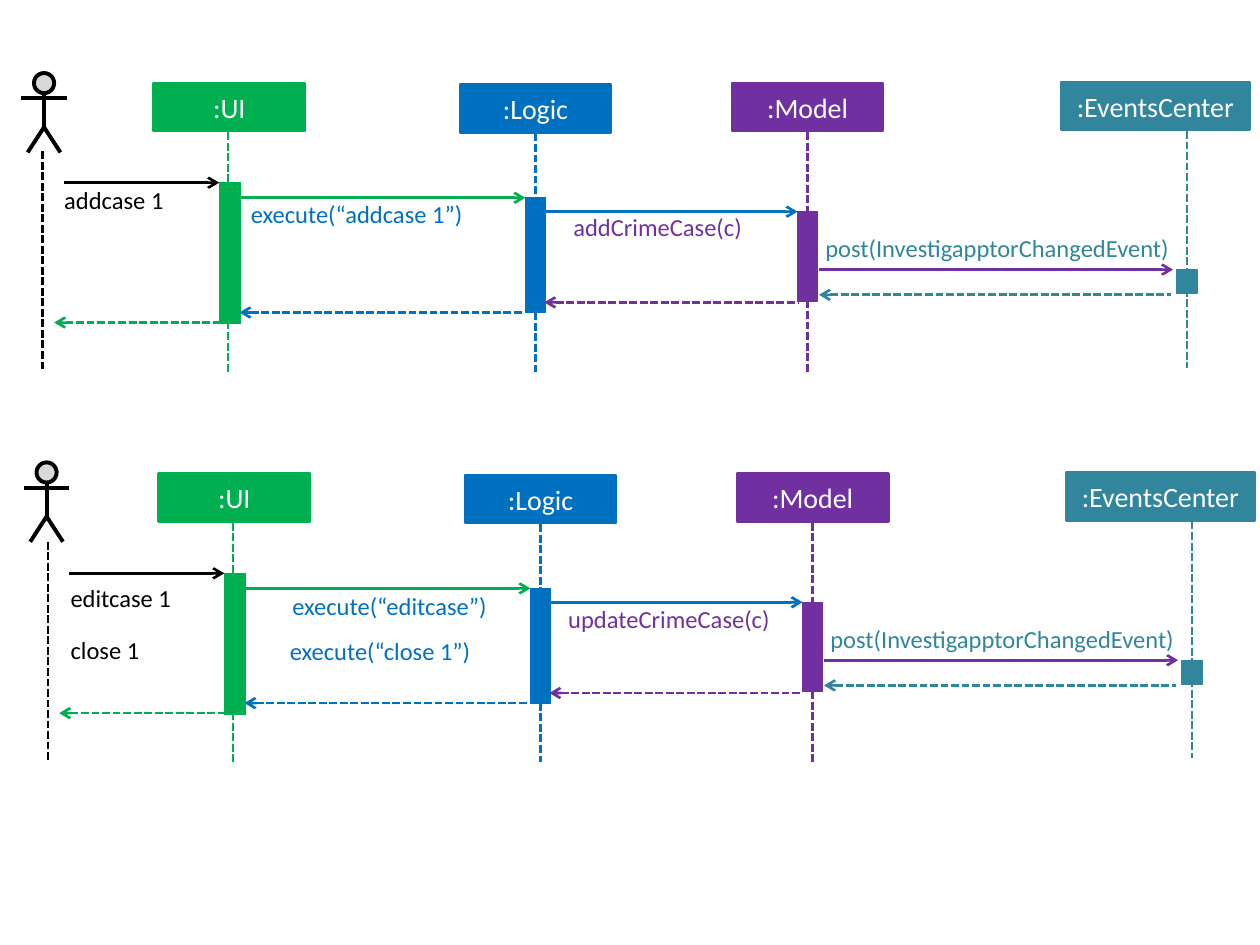
from lxml import etree
from pptx import Presentation
from pptx.dml.color import RGBColor
from pptx.enum import dml, shapes, text
from pptx.oxml import ns
from pptx.util import Inches, Pt

BLACK, GREEN, BLUE, PURPLE, TEAL = "000000", "00B050", "0070C0", "7030A0", "31859C"

deck = Presentation()
deck.slide_width, deck.slide_height = Inches(10), Inches(7.5)
page = deck.slides.add_slide(deck.slide_layouts[6])


def add_line(x1, y1, x2, y2, color, weight=1.5, dashed=False, arrow=None):
    line = page.shapes.add_connector(
        shapes.MSO_CONNECTOR.STRAIGHT, *map(Inches, (x1, y1, x2, y2)))
    line.line.color.rgb = RGBColor.from_string(color)
    line.line.width = Pt(weight)
    if dashed:
        line.line.dash_style = dml.MSO_LINE.SQUARE_DOT
    if arrow:
        etree.SubElement(line.line._get_or_add_ln(), ns.qn("a:" + arrow), type="arrow")
    etree.SubElement(line._element.spPr, ns.qn("a:effectLst"))


def add_box(kind, x, y, width, height, fill, outline, weight, label=None, size=16, color="FFFFFF"):
    if kind is None:
        box = page.shapes.add_textbox(*map(Inches, (x, y, width, height)))
    else:
        box = page.shapes.add_shape(kind, *map(Inches, (x, y, width, height)))
        box.shadow.inherit = False
        box.fill.solid()
        box.fill.fore_color.rgb = RGBColor.from_string(fill)
        box.line.color.rgb = RGBColor.from_string(outline)
        box.line.width = Pt(weight)
    if label:
        frame = box.text_frame
        settings = {"word_wrap": True, "vertical_anchor": text.MSO_ANCHOR.MIDDLE}
        if kind is None:
            settings = {"word_wrap": True, "vertical_anchor": text.MSO_ANCHOR.TOP,
                        "margin_left": 0, "margin_right": 0, "margin_top": 0,
                        "margin_bottom": 0, "auto_size": text.MSO_AUTO_SIZE.SHAPE_TO_FIT_TEXT}
        for name, value in settings.items():
            setattr(frame, name, value)
        para = frame.paragraphs[0]
        para.alignment = text.PP_ALIGN.LEFT if kind is None else text.PP_ALIGN.CENTER
        span = para.add_run()
        span.text = label
        for name, value in {"size": Pt(size), "name": "Calibri"}.items():
            setattr(span.font, name, value)
        span.font.color.rgb = RGBColor.from_string(color)


RECT = shapes.MSO_SHAPE.RECTANGLE
participants = [
    (":UI", GREEN, 1.22, 0.66, 1.2, 1.81, 2.95, 1.74, 1.45, 0.17, 1.12),
    (":Logic", BLUE, 3.65, 0.67, 1.2, 4.25, 2.95, 4.17, 1.57, 0.16, 0.91),
    (":Model", PURPLE, 5.81, 0.66, 1.2, 6.41, 2.95, 6.33, 1.68, 0.16, 0.71),
    (":EventsCenter", TEAL, 8.42, 0.65, 1.5, 9.42, 2.92, 9.34, 2.14, 0.16, 0.19),
]
calls = [
    (0.51, 1.74, 1.45, BLACK),
    (1.9, 4.17, 1.57, GREEN),
    (4.32, 6.33, 1.68, BLUE),
    (6.5, 9.31, 2.14, PURPLE),
]
returns = [
    (0.43, 1.74, 2.56, GREEN),
    (1.9, 4.15, 2.48, BLUE),
    (4.32, 6.33, 2.4, PURPLE),
    (6.5, 9.29, 2.34, TEAL),
]
add_labels = [
    ("addcase 1", 0.51, 1.47, 1.21, BLACK),
    ("execute(“addcase 1”)", 1.99, 1.58, 2.08, BLUE),
    ("addCrimeCase(c)", 4.55, 1.68, 1.68, PURPLE),
    ("post(InvestigapptorChangedEvent)", 6.55, 1.85, 2.78, TEAL),
]
edit_labels = [
    ("editcase 1", 0.56, 4.63, 1.39, BLACK),
    ("close 1", 0.56, 5.04, 0.95, BLACK),
    ("execute(“editcase”)", 2.32, 4.69, 1.55, BLUE),
    ("execute(“close 1”)", 2.3, 5.05, 1.55, BLUE),
    ("updateCrimeCase(c)", 4.51, 4.79, 1.68, PURPLE),
    ("post(InvestigapptorChangedEvent)", 6.59, 4.95, 2.78, TEAL),
]

for dx, dy, actor_x, actor_y, labels in [
    (0, 0, 0.35, 0.58, add_labels),
    (0.04, 3.1, 0.37, 3.67, edit_labels),
]:
    for name, color, x, y, width, life_x, life_end, bar_x, bar_y, bar_width, bar_height in participants:
        add_box(RECT, x + dx, y + dy, width, 0.38, color, color, 1.5, name)
        add_line(life_x + dx, y + dy + 0.39, life_x + dx, life_end + dy, color, dashed=True)
        add_box(RECT, bar_x + dx, bar_y + dy, bar_width, bar_height, color, color, 0.75)

    add_line(0.34 + dx, 1.2 + dy, 0.34 + dx, 2.95 + dy, BLACK, dashed=True)
    add_box(shapes.MSO_SHAPE.FLOWCHART_CONNECTOR, actor_x - 0.08, actor_y, 0.16, 0.16,
            "D9D9D9", BLACK, 2.25)
    add_line(actor_x, actor_y + 0.16, actor_x, actor_y + 0.43, BLACK, 2.25)
    add_line(actor_x - 0.18, actor_y + 0.2, actor_x + 0.18, actor_y + 0.2, BLACK, 2.25)
    outline = page.shapes.build_freeform(
        Inches(actor_x - 0.13), Inches(actor_y + 0.63), scale=1.0)
    outline.add_line_segments(
        [(Inches(actor_x), Inches(actor_y + 0.43)),
         (Inches(actor_x + 0.13), Inches(actor_y + 0.63))], close=False)
    legs = outline.convert_to_shape()
    legs.shadow.inherit = False
    legs.fill.background()
    legs.line.color.rgb = RGBColor.from_string(BLACK)
    legs.line.width = Pt(2.25)

    for messages, dashed, arrow in [(calls, False, "tailEnd"), (returns, True, "headEnd")]:
        for left, right, y, color in messages:
            add_line(left + dx, y + dy, right + dx, y + dy, color, dashed=dashed, arrow=arrow)
    for label, x, y, width, color in labels:
        add_box(None, x, y, width, 0.24, None, None, None, label, 14, color)

deck.save("out.pptx")
